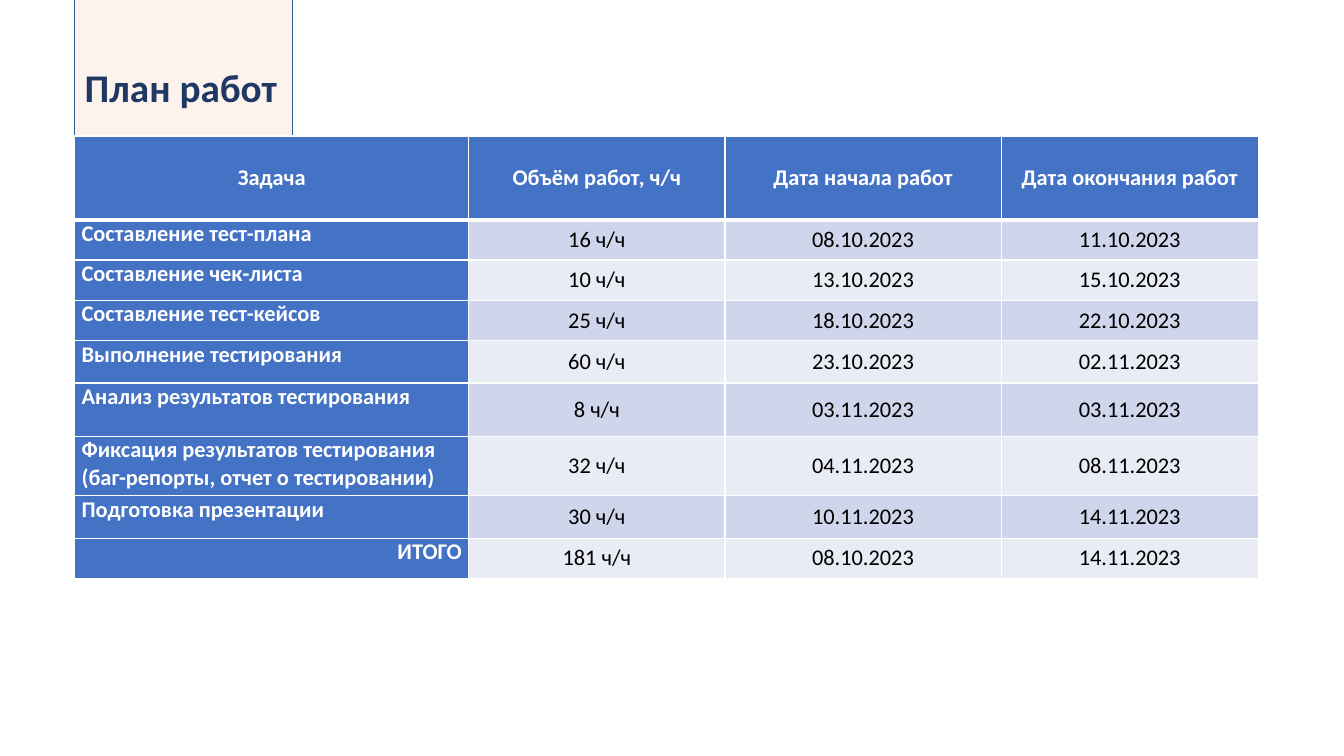
from lxml.etree import SubElement
from pptx import Presentation
from pptx.dml.color import RGBColor
from pptx.enum.text import MSO_ANCHOR, MSO_AUTO_SIZE, PP_ALIGN
from pptx.oxml.ns import qn
from pptx.util import Inches, Pt

WHITE = RGBColor(0xFF, 0xFF, 0xFF)
BLACK = RGBColor(0, 0, 0)
NAVY = RGBColor(0x20, 0x38, 0x64)
OUTLINE = RGBColor(0x2F, 0x55, 0x97)
CREAM = RGBColor(0xFD, 0xF3, 0xED)
BLUE = RGBColor(0x44, 0x72, 0xC4)
BANDS = (RGBColor(0xE9, 0xEB, 0xF5), RGBColor(0xCF, 0xD5, 0xEA))

FONT = "Calibri"
TITLE_FORMAT = {"name": FONT, "size": Pt(28), "bold": True}
LABEL_FORMAT = {"name": FONT, "size": Pt(16), "bold": True}
VALUE_FORMAT = {"name": FONT, "size": Pt(16), "bold": False}
CELL_MARGINS = {"margin_left": Inches(0.07), "margin_right": Inches(0.07),
                "margin_top": 0, "margin_bottom": 0}

COLUMN_WIDTHS = (3.91, 2.54, 2.74, 2.55)
ROW_HEIGHTS = (0.83, 0.4, 0.4, 0.4, 0.42, 0.53, 0.59, 0.42, 0.4)
PLAN = (
    ("Задача", "Объём работ, ч/ч", "Дата начала работ", "Дата окончания работ"),
    ("Составление тест-плана", "16 ч/ч", "08.10.2023", "11.10.2023"),
    ("Составление чек-листа", "10 ч/ч", "13.10.2023", "15.10.2023"),
    ("Составление тест-кейсов", "25 ч/ч", "18.10.2023", "22.10.2023"),
    ("Выполнение тестирования", "60 ч/ч", "23.10.2023", "02.11.2023"),
    ("Анализ результатов тестирования", "8 ч/ч", "03.11.2023", "03.11.2023"),
    ("Фиксация результатов тестирования (баг-репорты, отчет о тестировании)",
     "32 ч/ч", "04.11.2023", "08.11.2023"),
    ("Подготовка презентации", "30 ч/ч", "10.11.2023", "14.11.2023"),
    ("ИТОГО", "181 ч/ч", "08.10.2023", "14.11.2023"),
)


def set_attrs(target, values):
    for name, value in values.items():
        setattr(target, name, value)


def write_text(tf, text, align, font_format, color):
    p = tf.paragraphs[0]
    p.alignment = align
    r = p.add_run()
    r.text = text
    set_attrs(r.font, font_format)
    r.font.color.rgb = color
    return p


def set_borders(cell, widths):
    """Draw white cell borders; they must precede the fill in tcPr."""
    tcPr = cell._tc.get_or_add_tcPr()
    for side, width in widths.items():
        ln = SubElement(tcPr, qn(f"a:ln{side}"), w=str(Pt(width)))
        fill = SubElement(ln, qn("a:solidFill"))
        SubElement(fill, qn("a:srgbClr"), val=str(WHITE))


def add_title(s, left, top, width, height):
    sp = s.shapes.title
    set_attrs(sp, {"left": Inches(left), "top": Inches(top),
                   "width": Inches(width), "height": Inches(height)})
    sp.fill.solid()
    sp.fill.fore_color.rgb = CREAM
    sp.line.color.rgb = OUTLINE
    sp.line.width = Pt(0.75)
    tf = sp.text_frame
    set_attrs(tf, {"word_wrap": False, "vertical_anchor": MSO_ANCHOR.MIDDLE,
                   "auto_size": MSO_AUTO_SIZE.SHAPE_TO_FIT_TEXT})
    p = write_text(tf, "План работ", PP_ALIGN.LEFT, TITLE_FORMAT, NAVY)
    set_attrs(p, {"line_spacing": 0.9, "space_before": Pt(0), "space_after": Pt(3)})


def format_cell(cell, row, col, text):
    header, label = row == 0, col == 0
    total_label = label and row == len(PLAN) - 1
    set_attrs(cell, CELL_MARGINS)
    set_borders(cell, {"L": 1, "R": 1, "T": 3 if row == 1 else 1,
                       "B": 3 if header else 1})
    cell.fill.solid()
    cell.fill.fore_color.rgb = BLUE if header or label else BANDS[row % 2]
    cell.vertical_anchor = (MSO_ANCHOR.TOP if label and not header
                            else MSO_ANCHOR.MIDDLE)
    if total_label:
        align = PP_ALIGN.RIGHT
    elif label and not header:
        align = PP_ALIGN.LEFT
    else:
        align = PP_ALIGN.CENTER
    strong = header or label
    write_text(cell.text_frame, text, align,
               LABEL_FORMAT if strong else VALUE_FORMAT,
               WHITE if strong else BLACK)


def add_plan_table(s, left, top):
    table = s.shapes.add_table(
        len(PLAN), len(COLUMN_WIDTHS), Inches(left), Inches(top),
        Inches(sum(COLUMN_WIDTHS)), Inches(sum(ROW_HEIGHTS))).table
    table.first_col = True
    for column, width in zip(table.columns, COLUMN_WIDTHS):
        column.width = Inches(width)
    for row, (height, texts) in enumerate(zip(ROW_HEIGHTS, PLAN)):
        table.rows[row].height = Inches(height)
        for col, text in enumerate(texts):
            format_cell(table.cell(row, col), row, col, text)


def main():
    prs = Presentation()
    prs.slide_width, prs.slide_height = Inches(13.33), Inches(7.5)
    s = prs.slides.add_slide(prs.slide_layouts[5])
    # Title tab
    add_title(s, 0.74, 0.63, 2.16, 0.53)
    # Work plan
    add_plan_table(s, 0.74, 1.35)
    prs.save("out.pptx")


if __name__ == "__main__":
    main()
